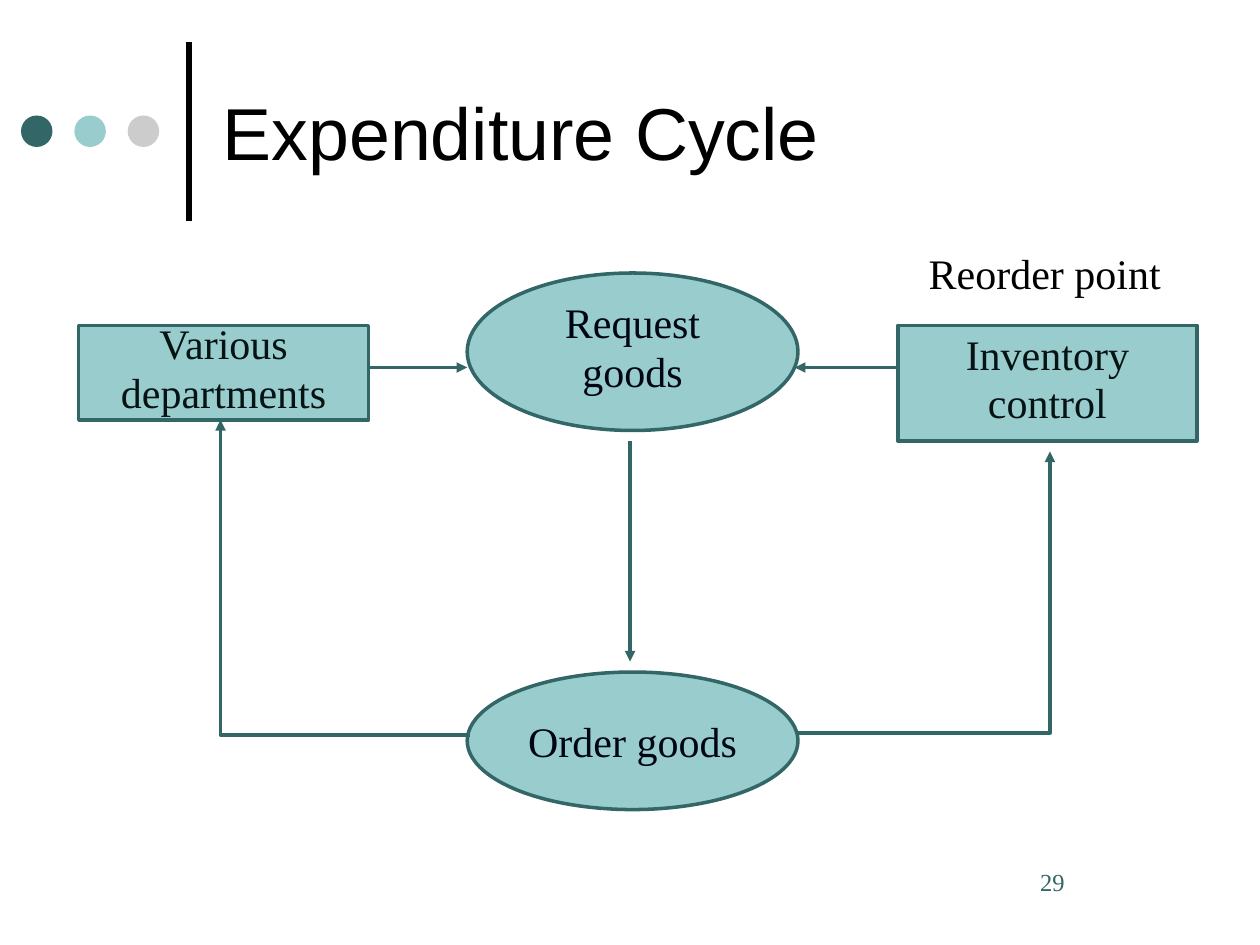
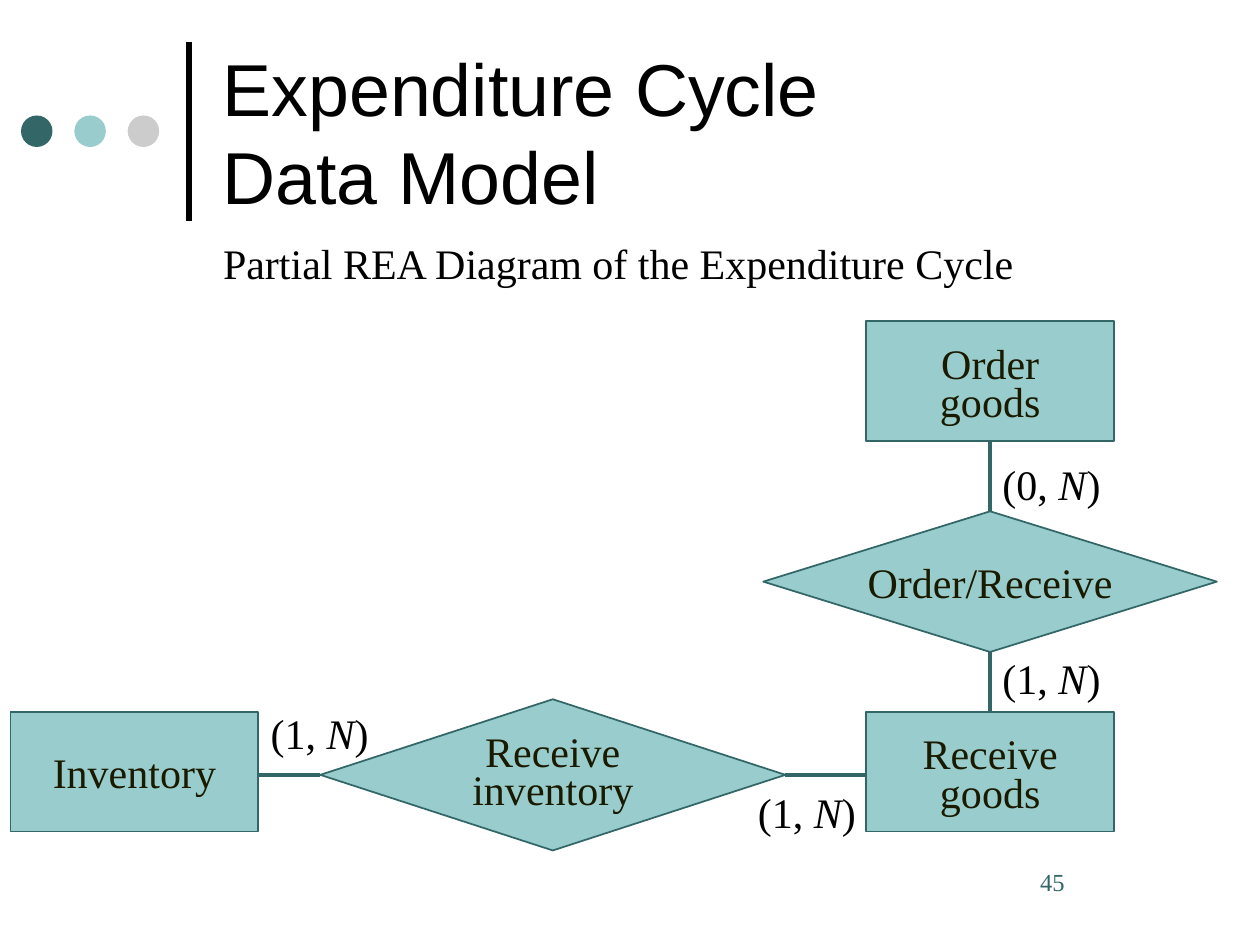
from dataclasses import dataclass

from lxml import etree
from pptx import Presentation
from pptx.dml.color import RGBColor
from pptx.enum.shapes import MSO_CONNECTOR, MSO_SHAPE
from pptx.enum.text import MSO_ANCHOR, MSO_AUTO_SIZE, PP_ALIGN
from pptx.oxml.ns import qn
from pptx.util import Inches, Pt

RECT, OVAL, DIAMOND = MSO_SHAPE.RECTANGLE, MSO_SHAPE.OVAL, MSO_SHAPE.DIAMOND
STRAIGHT = MSO_CONNECTOR.STRAIGHT
LEFT, CENTER = PP_ALIGN.LEFT, PP_ALIGN.CENTER
TOP, MIDDLE = MSO_ANCHOR.TOP, MSO_ANCHOR.MIDDLE
SIDE_TOP, SIDE_LEFT, SIDE_BOTTOM, SIDE_RIGHT = range(4)

SLIDE_W, SLIDE_H = Inches(10), Inches(7.5)
COLUMNS, ROWS = 120, 90


@dataclass(frozen=True)
class Theme:
    dark: str = "336666"
    light: str = "99CCCC"
    grey: str = "CCCCCC"
    black: str = "000000"
    oval_ink: str = "000514"
    box_ink: str = "051315"
    entity_ink: str = "1A1A00"
    title_font: str = "Arial"
    body_font: str = "Times New Roman"
    title_size: float = 42
    body_size: float = 24
    number_size: float = 14
    bar_width: float = 3
    flow_width: float = 2
    entity_width: float = 1
    tight: float = 0.75


THEME = Theme()


@dataclass(frozen=True)
class Box:
    """A place on the grid, in columns and rows."""
    col: float
    row: float
    cols: float
    rows: float

    def emu(self) -> tuple[int, int, int, int]:
        return x(self.col), y(self.row), x(self.cols), y(self.rows)


@dataclass(frozen=True)
class Run:
    text: str
    italic: bool = False


@dataclass(frozen=True)
class TextStyle:
    color: str = THEME.black
    size: float = THEME.body_size
    font: str = THEME.body_font
    align: PP_ALIGN = CENTER
    first_spacing: float = 1.0
    gap: float = 0
    indent: float = 0


@dataclass(frozen=True)
class Node:
    shape: MSO_SHAPE
    box: Box
    lines: tuple[str, ...]
    style: TextStyle
    outline: float


@dataclass(frozen=True)
class Label:
    box: Box
    runs: tuple[Run, ...]
    style: TextStyle = TextStyle()


TITLE_BOX = Box(20, 2.5, 92, 20)
NUMBER_BOX = Box(95, 82, 17, 6)
DOT_COLORS = (THEME.dark, THEME.light, THEME.grey)
DOT_SIZE, DOT_PITCH = 3, 5.08

TITLE = TextStyle(size=THEME.title_size, font=THEME.title_font, align=LEFT)
NUMBER = TextStyle(THEME.dark, THEME.number_size, align=LEFT, indent=0.24)
CARDINALITY = TextStyle(align=LEFT)
OVAL_TEXT = TextStyle(THEME.oval_ink, first_spacing=THEME.tight, gap=6)
OVAL_LINE = TextStyle(THEME.oval_ink)
BOX_TEXT = TextStyle(THEME.box_ink, first_spacing=THEME.tight, gap=6)
ENTITY = TextStyle(THEME.entity_ink)
RELATION = TextStyle(THEME.entity_ink, first_spacing=THEME.tight)

FLOW_NODES = (
    Node(OVAL, Box(44.5, 64, 31.5, 13.1), ("Order goods",), OVAL_LINE, THEME.flow_width),
    Node(OVAL, Box(44.5, 26, 31.5, 15), ("Request", "goods"), OVAL_TEXT, THEME.flow_width),
    Node(RECT, Box(7.5, 31, 27.6, 9), ("Various", "departments"), BOX_TEXT, THEME.flow_width),
    Node(RECT, Box(85.5, 31, 28.5, 11), ("Inventory", "control"), BOX_TEXT, THEME.flow_width),
)
STRAIGHT_ARROWS = (
    ((35, 35), (44.5, 35)),
    ((85.5, 35), (75.7, 35)),
    ((60, 42), (60, 63)),
)
BENT_ARROWS = (
    ((44.75, 70), (21, 70), (21, 40)),
    ((76, 69.8), (100, 69.8), (100, 43)),
)
REORDER_POINT = Label(Box(82.8, 23, 33.4, 6), (Run("Reorder point"),))

ENTITY_W, ENTITY_H = 23.6, 11.4
EVENT_COL, LOWER_ROW = 82.5, 67.8
RELATION_ROW = 73.8


def entity(col: float, row: float, *lines: str) -> Node:
    return Node(RECT, Box(col, row, ENTITY_W, ENTITY_H), lines, ENTITY, THEME.entity_width)


def relation(box: Box, *lines: str) -> Node:
    style = RELATION if len(lines) > 1 else ENTITY
    return Node(DIAMOND, box, lines, style, THEME.entity_width)


def cardinality(col: float, row: float, minimum: int) -> Label:
    runs = (Run(f"({minimum}, "), Run("N", True), Run(")"))
    return Label(Box(col, row, 12.7, 6), runs, CARDINALITY)


INVENTORY = entity(1, LOWER_ROW, "Inventory")
RECEIVE_GOODS = entity(EVENT_COL, LOWER_ROW, "Receive", "goods")
ORDER_GOODS = entity(EVENT_COL, 30.6, "Order", "goods")
RECEIVE_INVENTORY = relation(Box(30.5, 66.6, 44.3, 14.4), "Receive", "inventory")
ORDER_RECEIVE = relation(Box(72.7, 48.7, 43.2, 13.4), "Order/Receive")
MODEL_LABELS = (
    Label(Box(6.8, 22, 104.2, 6), (Run("Partial REA Diagram of the Expenditure Cycle"),)),
    cardinality(24.6, 66.8, 1),
    cardinality(71, 74.3, 1),
    cardinality(94.3, 43.1, 0),
    cardinality(94.3, 61.6, 1),
)


def x(cols: float) -> int:
    return round(SLIDE_W * cols / COLUMNS)


def y(rows: float) -> int:
    return round(SLIDE_H * rows / ROWS)


def rgb(color: str) -> RGBColor:
    return RGBColor.from_string(color)


def set_frame(tf, anchor: MSO_ANCHOR, wrap: bool = True) -> None:
    tf.auto_size = MSO_AUTO_SIZE.NONE
    tf.word_wrap = wrap
    tf.vertical_anchor = anchor
    tf.margin_left = tf.margin_right = Inches(0.1)
    tf.margin_top = tf.margin_bottom = Inches(0.05)


def add_run(p, run: Run, style: TextStyle) -> None:
    r = p.add_run()
    r.text = run.text
    r.font.name = style.font
    r.font.size = Pt(style.size)
    r.font.italic = run.italic
    r.font.color.rgb = rgb(style.color)


def fill_shape(sp, color: str) -> None:
    sp.shadow.inherit = False
    sp.fill.solid()
    sp.fill.fore_color.rgb = rgb(color)


def set_line(sp, color: str, width: float, arrow: bool = False) -> None:
    sp.line.color.rgb = rgb(color)
    sp.line.width = Pt(width)
    if arrow:
        etree.SubElement(sp.line._get_or_add_ln(), qn("a:tailEnd"), type="triangle")


def add_connector(s, start: tuple, end: tuple, color: str = THEME.dark,
                  width: float = THEME.flow_width, arrow: bool = False):
    sp = s.shapes.add_connector(STRAIGHT, x(start[0]), y(start[1]), x(end[0]), y(end[1]))
    set_line(sp, color, width, arrow)
    etree.SubElement(sp._element.spPr, qn("a:effectLst"))
    return sp


def add_bent_arrow(s, points: tuple) -> None:
    start, *rest = [(x(col), y(row)) for col, row in points]
    builder = s.shapes.build_freeform(*start)
    builder.add_line_segments(rest, close=False)
    sp = builder.convert_to_shape()
    sp.shadow.inherit = False
    sp.fill.background()
    set_line(sp, THEME.dark, THEME.flow_width, arrow=True)


def add_node(s, node: Node):
    sp = s.shapes.add_shape(node.shape, *node.box.emu())
    fill_shape(sp, THEME.light)
    set_line(sp, THEME.dark, node.outline)
    tf = sp.text_frame
    set_frame(tf, MIDDLE, wrap=False)
    for i, line in enumerate(node.lines):
        p = tf.add_paragraph() if i else tf.paragraphs[0]
        p.alignment = node.style.align
        p.line_spacing = THEME.tight if i else node.style.first_spacing
        p.space_before = Pt(node.style.gap if i else 0)
        add_run(p, Run(line), node.style)
    return sp


def add_label(s, label: Label) -> None:
    tf = s.shapes.add_textbox(*label.box.emu()).text_frame
    set_frame(tf, TOP)
    p = tf.paragraphs[0]
    p.alignment = label.style.align
    if label.style.indent:
        p._p.get_or_add_pPr().set("marL", str(Inches(label.style.indent)))
    for run in label.runs:
        add_run(p, run, label.style)


def add_base_slide(prs, title_lines: tuple[str, ...], number: int):
    """Add a slide with the title, bar, dots and slide number."""
    s = prs.slides.add_slide(prs.slide_layouts[5])
    add_connector(s, (18, 21), (18, 4), THEME.black, THEME.bar_width)
    for i, color in enumerate(DOT_COLORS):
        dot = Box(2 + i * DOT_PITCH, 11, DOT_SIZE, DOT_SIZE)
        sp = s.shapes.add_shape(OVAL, *dot.emu())
        fill_shape(sp, color)
        sp.line.fill.background()

    title = s.shapes.title
    title.left, title.top, title.width, title.height = TITLE_BOX.emu()
    set_frame(title.text_frame, MIDDLE)
    p = title.text_frame.paragraphs[0]
    p.alignment = TITLE.align
    for i, line in enumerate(title_lines):
        if i:
            p.add_line_break()
        add_run(p, Run(line), TITLE)
    add_label(s, Label(NUMBER_BOX, (Run(str(number)),), NUMBER))
    return s


def build_flow_slide(prs) -> None:
    s = add_base_slide(prs, ("Expenditure Cycle",), 29)
    for node in FLOW_NODES:
        add_node(s, node)
    add_label(s, REORDER_POINT)
    for start, end in STRAIGHT_ARROWS:
        add_connector(s, start, end, arrow=True)
    for points in BENT_ARROWS:
        add_bent_arrow(s, points)


def build_model_slide(prs) -> None:
    s = add_base_slide(prs, ("Expenditure Cycle ", "Data Model"), 45)
    add_node(s, INVENTORY)
    receive_goods = add_node(s, RECEIVE_GOODS)
    order_goods = add_node(s, ORDER_GOODS)
    receive_inventory = add_node(s, RECEIVE_INVENTORY)
    order_receive = add_node(s, ORDER_RECEIVE)
    for label in MODEL_LABELS:
        add_label(s, label)

    for upper, lower in ((order_goods, order_receive), (order_receive, receive_goods)):
        sp = add_connector(s, (0, 0), (0, 0))
        sp.begin_connect(upper, SIDE_BOTTOM)
        sp.end_connect(lower, SIDE_TOP)
    for side, col in ((SIDE_LEFT, 1 + ENTITY_W), (SIDE_RIGHT, EVENT_COL)):
        sp = add_connector(s, (col, RELATION_ROW), (col, RELATION_ROW))
        sp.begin_connect(receive_inventory, side)


def main() -> None:
    prs = Presentation()
    prs.slide_width, prs.slide_height = SLIDE_W, SLIDE_H
    build_flow_slide(prs)
    build_model_slide(prs)
    prs.save("out.pptx")


if __name__ == "__main__":
    main()
